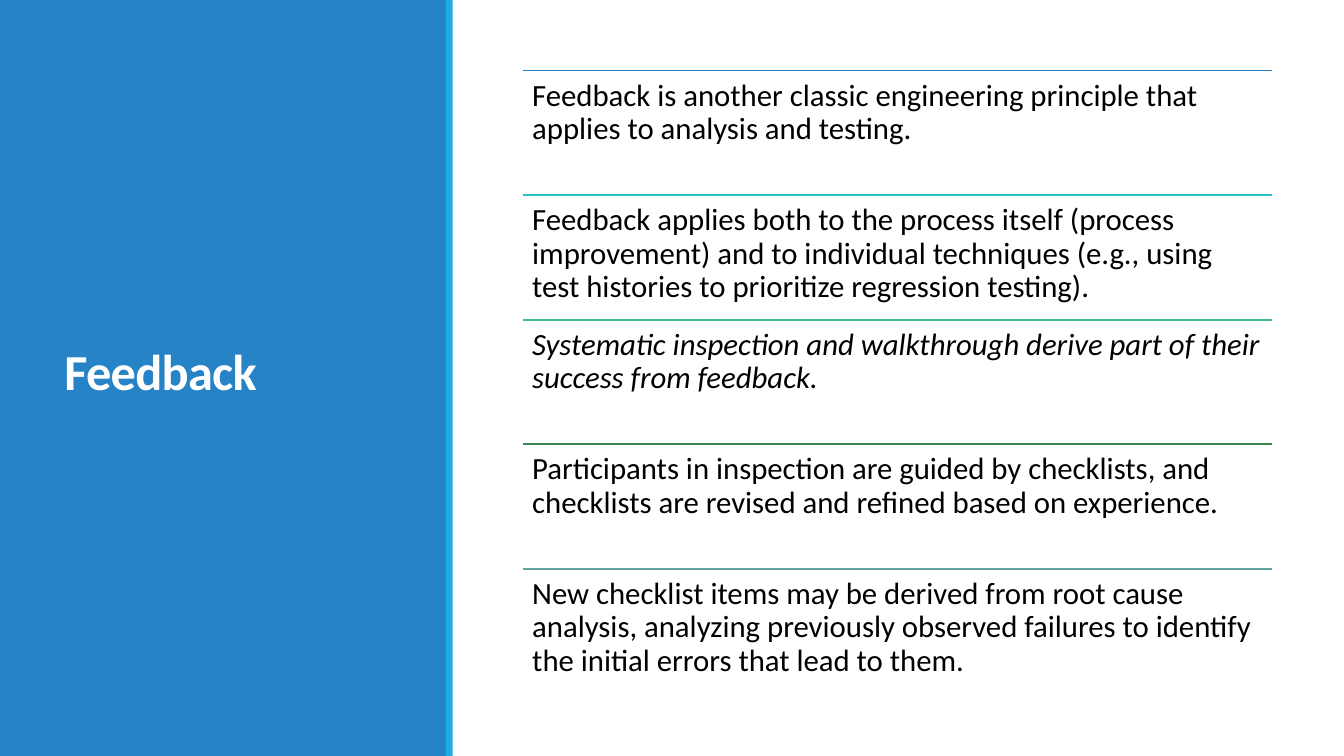
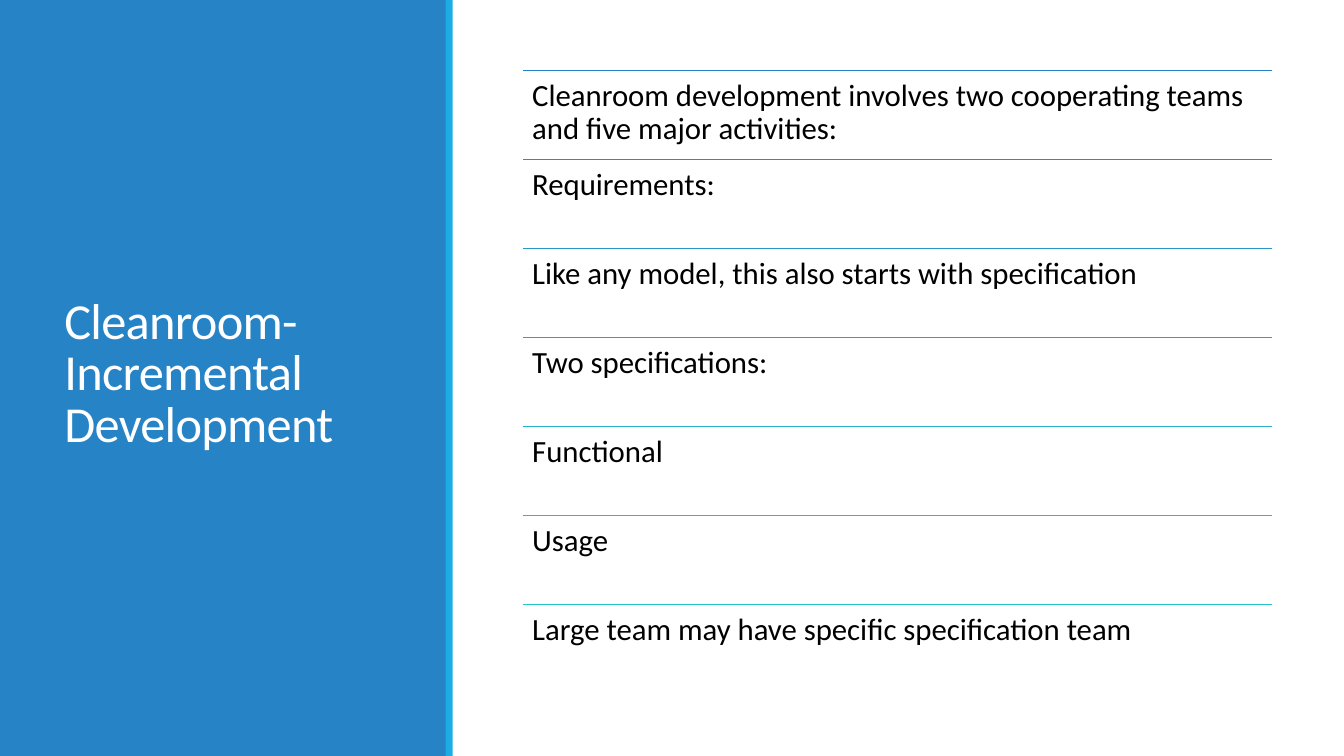
from lxml import etree
from pptx import Presentation, util as u
from pptx.dml.color import RGBColor
from pptx.enum import shapes, text
from pptx.oxml.ns import qn

WIDTH, HEIGHT = u.Inches(13.333), u.Inches(7.5)
BLUE, SKY, WHITE, BLACK = "2683C6", "1CADE4", "FFFFFF", "000000"
FONT = "Calibri"

PANEL_WIDTH = u.Inches(4.43)
STRIPE_LEFT, STRIPE_WIDTH = u.Inches(4.42), u.Inches(0.07)
TITLE_LEFT, TITLE_WIDTH = u.Inches(0.54), u.Inches(3.37)
TITLE_TOP, TITLE_HEIGHT = u.Inches(0.57), u.Inches(6.31)
LIST_LEFT, LIST_WIDTH = u.Inches(5.19), u.Inches(7.43)
LIST_TOP, LIST_HEIGHT = u.Inches(0.7), u.Inches(6.18)
ROW_INSET = u.Inches(0.09)

# Each row: rule colour, wording, italic
SLIDES = [
    ("Feedback", True, [
        (BLUE, "Feedback is another classic engineering principle that "
               "applies to analysis and testing.", False),
        ("28C4CC", "Feedback applies both to the process itself (process "
                   "improvement) and to individual techniques (e.g., using test "
                   "histories to prioritize regression testing).", False),
        ("42BA97", "Systematic inspection and walkthrough derive part of their "
                   "success from feedback.", True),
        ("3E8853", "Participants in inspection are guided by checklists, and "
                   "checklists are revised and refined based on experience.", False),
        ("62A39F", "New checklist items may be derived from root cause analysis, "
                   "analyzing previously observed failures to identify the initial "
                   "errors that lead to them.", False),
    ]),
    ("Cleanroom-Incremental Development", False, [
        (BLUE, "Cleanroom development involves two cooperating teams and five "
               "major activities:", False),
        ("268EC7", "Requirements:", False),
        ("2798C8", "Like any model, this also starts with specification", False),
        ("27A3C9", "Two specifications:", False),
        ("27AECA", "Functional", False),
        ("28B9CB", "Usage", False),
        ("28C4CC", "Large team may have specific specification team", False),
    ]),
]


def color(hex_string):
    return RGBColor.from_string(hex_string)


def add_text(slide, box, wording, size, hex_string, line_spacing):
    """Add a wrapping one-paragraph text box; return its frame and run."""
    frame = slide.shapes.add_textbox(*box).text_frame
    frame.word_wrap = True
    frame.text = wording
    paragraph = frame.paragraphs[0]
    paragraph.line_spacing = line_spacing
    run = paragraph.runs[0]
    run.font.name = FONT
    run.font.size = u.Pt(size)
    run.font.color.rgb = color(hex_string)
    return frame, run


prs = Presentation()
prs.slide_width, prs.slide_height = WIDTH, HEIGHT
blank_layout = prs.slide_layouts[6]

for title, title_bold, rows in SLIDES:
    slide = prs.slides.add_slide(blank_layout)
    slide.background.fill.solid()
    slide.background.fill.fore_color.rgb = color(WHITE)

    for left, width, fill in [(0, PANEL_WIDTH, BLUE),
                              (STRIPE_LEFT, STRIPE_WIDTH, SKY)]:
        band = slide.shapes.add_shape(
            shapes.MSO_SHAPE.RECTANGLE, left, 0, width, HEIGHT)
        band.shadow.inherit = False
        band.fill.solid()
        band.fill.fore_color.rgb = color(fill)
        band.line.fill.background()

    title_frame, title_run = add_text(
        slide, (TITLE_LEFT, TITLE_TOP, TITLE_WIDTH, TITLE_HEIGHT),
        title, 36, WHITE, 0.85)
    title_frame.vertical_anchor = text.MSO_ANCHOR.MIDDLE
    title_run.font.bold = title_bold
    title_run.font._element.set("spc", "-50")

    row_height = LIST_HEIGHT // len(rows)
    for index, (rule_color, wording, italic) in enumerate(rows):
        top = LIST_TOP + index * row_height
        rule = slide.shapes.add_connector(
            shapes.MSO_CONNECTOR.STRAIGHT,
            LIST_LEFT, top, LIST_LEFT + LIST_WIDTH, top)
        rule.line.color.rgb = color(rule_color)
        rule.line.width = u.Pt(1.25)
        etree.SubElement(rule._element.spPr, qn("a:effectLst"))

        row_frame, row_run = add_text(
            slide, (LIST_LEFT, top, LIST_WIDTH, row_height),
            wording, 22, BLACK, 0.9)
        row_frame.margin_left = row_frame.margin_right = ROW_INSET
        row_frame.margin_top = row_frame.margin_bottom = ROW_INSET
        row_run.font.italic = italic

prs.save("out.pptx")
